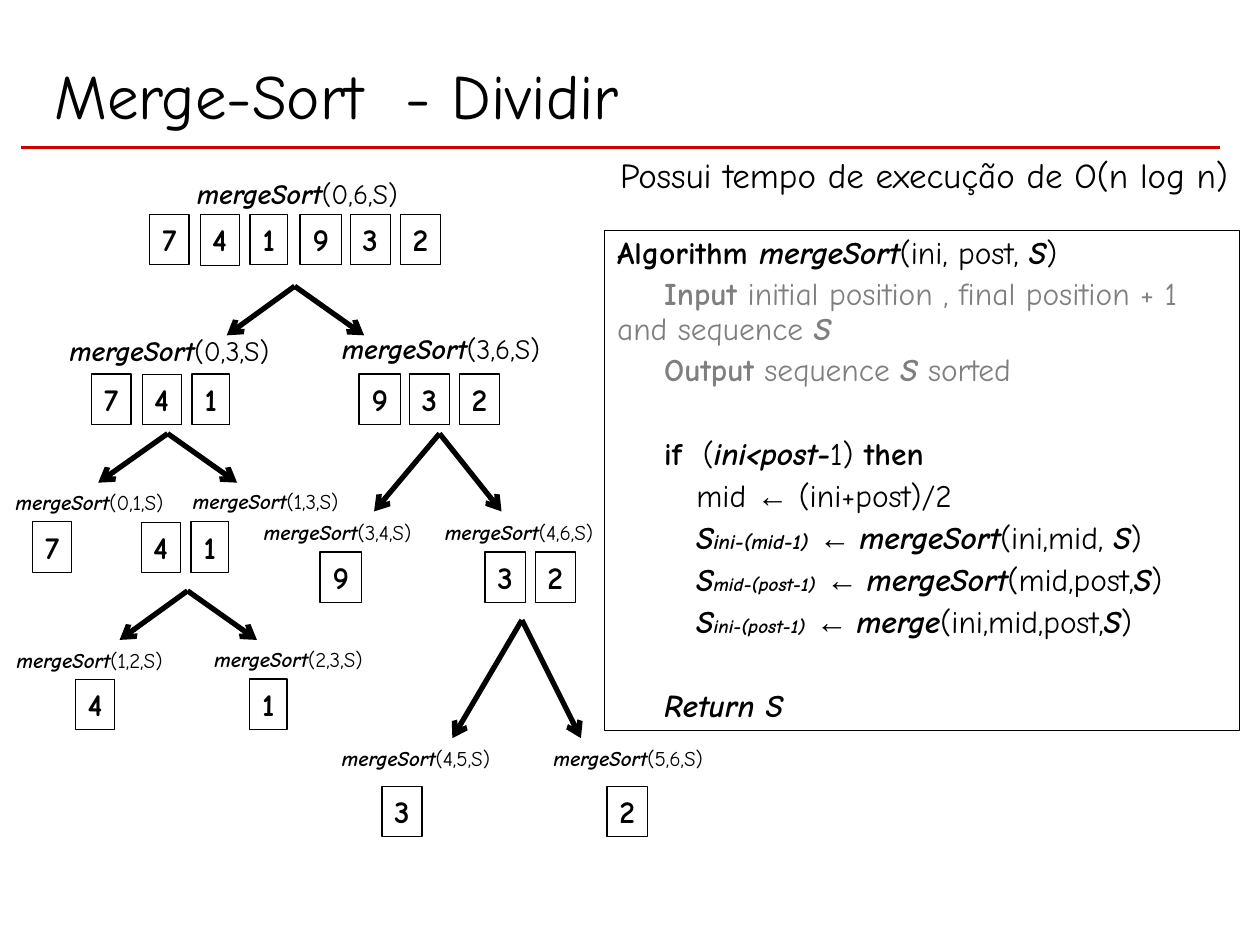
"""Build the merge sort slide: call tree on the left, algorithm on the right."""
from lxml.etree import SubElement
from pptx import Presentation
from pptx.dml.color import RGBColor
from pptx.enum.shapes import MSO_CONNECTOR as Link, MSO_SHAPE as Form
from pptx.enum.text import MSO_ANCHOR as Anchor, MSO_AUTO_SIZE as Fit, PP_ALIGN as Align
from pptx.oxml.ns import qn
from pptx.util import Cm, Pt

BLACK, GRAY, RED = "000000", "7F7F7F", "CC0000"
STEP = 1.01
WIDTHS = {"7": 0.79, "4": 0.79, "1": 0.76, "9": 0.84, "3": 0.81, "2": 0.81}

# call, label (left, top, width), size, digits, first cell (left, top)
NODES = [
    ("(0,6,S)", (3.71, 3.43, 4.57), 16, "741932", (3.02, 4.32)),
    ("(0,3,S)", (1.14, 6.6, 4.55), 16, "741", (1.85, 7.54)),
    ("(3,6,S)", (6.63, 6.55, 4.52), 16, "932", (7.24, 7.54)),
    ("(0,1,S)", (0.05, 9.75, 3.51), 12, "7", (0.66, 10.52)),
    ("(1,3,S)", (3.63, 9.73, 3.45), 12, "41", (2.84, 10.52)),
    ("(3,4,S)", (5.05, 10.34, 3.51), 12, "9", (6.45, 11.13)),
    ("(4,6,S)", (8.71, 10.34, 3.51), 12, "32", (9.78, 11.13)),
    ("(1,2,S)", (0.08, 12.93, 3.45), 12, "4", (1.52, 13.69)),
    ("(2,3,S)", (4.06, 12.9, 3.51), 12, "1", (5.03, 13.69)),
    ("(4,5,S)", (6.63, 14.91, 3.51), 12, "3", (7.7, 15.85)),
    ("(5,6,S)", (10.9, 14.91, 3.53), 12, "2", (12.24, 15.85)),
]

# top point, left and right end, bottom
FORKS = [
    (5.94, 5.77, 4.57, 7.34, 6.76),
    (3.38, 8.74, 1.98, 4.78, 9.73),
    (8.86, 8.74, 7.54, 10.11, 10.31),
    (3.78, 11.91, 2.41, 5.18, 12.9),
    (10.52, 12.5, 9.12, 11.71, 14.88),
]


def color(code):
    return RGBColor.from_string(code)


def assign(sub, size, call, args):
    return [("S", "bi"), (sub, "bi", size), (" ",), ("← ", "a"),
            (call, "bi"), (args,), ("S", "bi"), (")",)]


# margin, first line indent, space before, colour, runs
CODE = [
    (0, 0, 4.5, BLACK, [("Algorithm ", "b"), ("mergeSort", "bi"), ("(ini, post, ",),
                        ("S", "bi"), (")",)]),
    (0, 0.95, 4.5, GRAY, [("Input", "b"),
                          (" initial position , final position + 1 and sequence ",),
                          ("S", "bi")]),
    (0, 0.95, 4.5, GRAY, [("Output", "b"), (" sequence ",), ("S", "bi"), (" sorted",)]),
    (0.95, 0, 28.5, BLACK, [("if", "b"), ("  (",), ("ini<post-", "bi"), ("1) ",),
                            ("then", "b")]),
    (1.6, 0, 4.5, BLACK, [("mid ",), ("←", "a"), (" (ini+post)/2",)]),
    (1.6, 0, 4.5, BLACK, assign("ini-(mid-1)", 12, "mergeSort", "(ini,mid, ")),
    (1.6, 0, 4.5, BLACK, assign("mid-(post-1)", 11, "mergeSort", "(mid,post,")),
    (1.6, 0, 4.5, BLACK, assign("ini-(post-1)", 11, "merge", "(ini,mid,post,")),
    (0.95, 0, 28.5, BLACK, [("Return S", "bi")]),
]


class Deck:
    """Hold the text style and the current slide."""

    def __init__(self, slide, font="Comic Neue"):
        self.slide = slide
        self.font = font

    def runs(self, para, parts, size, tint=BLACK):
        for text, mode, own in ((p + ("", None)[len(p) - 1:] for p in parts)):
            run = para.add_run()
            run.text = text
            font = run.font
            font.name = "Arial" if "a" in mode else self.font
            font.size = Pt(own or size)
            font.bold = "b" in mode
            font.italic = "i" in mode
            font.color.rgb = color(tint)

    def title(self, text, *box):
        shape = self.slide.shapes.title
        shape.left, shape.top, shape.width, shape.height = map(Cm, box)
        frame = shape.text_frame
        frame.auto_size = Fit.NONE
        frame.vertical_anchor = Anchor.MIDDLE
        para = frame.paragraphs[0]
        para.alignment = Align.LEFT
        self.runs(para, [(text,)], 36)

    def label(self, parts, size, *box):
        frame = self.slide.shapes.add_textbox(*map(Cm, box)).text_frame
        frame.word_wrap = False
        para = frame.paragraphs[0]
        para.alignment = Align.CENTER
        self.runs(para, parts, size)

    def rect(self, weight, *box):
        shape = self.slide.shapes.add_shape(Form.RECTANGLE, *map(Cm, box))
        shape.shadow.inherit = False
        shape.fill.background()
        shape.line.color.rgb = color(BLACK)
        shape.line.width = Pt(weight)
        shape.text_frame.vertical_anchor = Anchor.TOP
        return shape.text_frame

    def cell(self, digit, left, top):
        frame = self.rect(0.25 if digit == "4" else 0.75, left, top, WIDTHS[digit], 1.02)
        frame.word_wrap = False
        para = frame.paragraphs[0]
        para.alignment = Align.CENTER
        self.runs(para, [(digit, "b")], 18)

    def code(self, lines, *box):
        frame = self.rect(0.75, *box)
        frame.word_wrap = True
        for num, (left, first, gap, tint, parts) in enumerate(lines):
            para = frame.add_paragraph() if num else frame.paragraphs[0]
            para.alignment = Align.LEFT
            para.line_spacing = 0.9
            para.space_before = Pt(gap)
            props = para._p.get_or_add_pPr()
            props.set("marL", str(Cm(left)))
            props.set("indent", str(Cm(first)))
            self.runs(para, parts, 18, tint)

    def line(self, ends, tint, weight, arrow=False):
        link = self.slide.shapes.add_connector(Link.STRAIGHT, *map(Cm, ends))
        link.line.color.rgb = color(tint)
        link.line.width = Pt(weight)
        if arrow:
            SubElement(link.line._get_or_add_ln(), qn("a:tailEnd"), type="arrow")
        SubElement(link._element.spPr, qn("a:effectLst"))


def main():
    show = Presentation()
    show.slide_width, show.slide_height = Cm(25.4), Cm(19.05)
    deck = Deck(show.slides.add_slide(show.slide_layouts[5]))
    deck.line((0.43, 2.97, 24.59, 2.97), RED, 1.5)
    deck.title("Merge-Sort  - Dividir", 0.84, 0.64, 22.86, 2.54)
    deck.code(CODE, 12.19, 4.65, 12.8, 10.08)
    deck.label([("Possui tempo de execução de O(n log n)",)], 20, 12.22, 2.97, 12.83, 1.96)
    for args, (left, top, width), size, digits, (x, y) in NODES:
        for num, digit in enumerate(digits):
            deck.cell(digit, x + num * STEP, y)
        high = 0.94 if size == 16 else 0.76
        deck.label([("mergeSort", "bi"), (args,)], size, left, top, width, high)
    for x, y, left, right, low in FORKS:
        for end in (right, left):
            deck.line((x, y, end, low), BLACK, 3, arrow=True)
    show.save("out.pptx")


if __name__ == "__main__":
    main()
